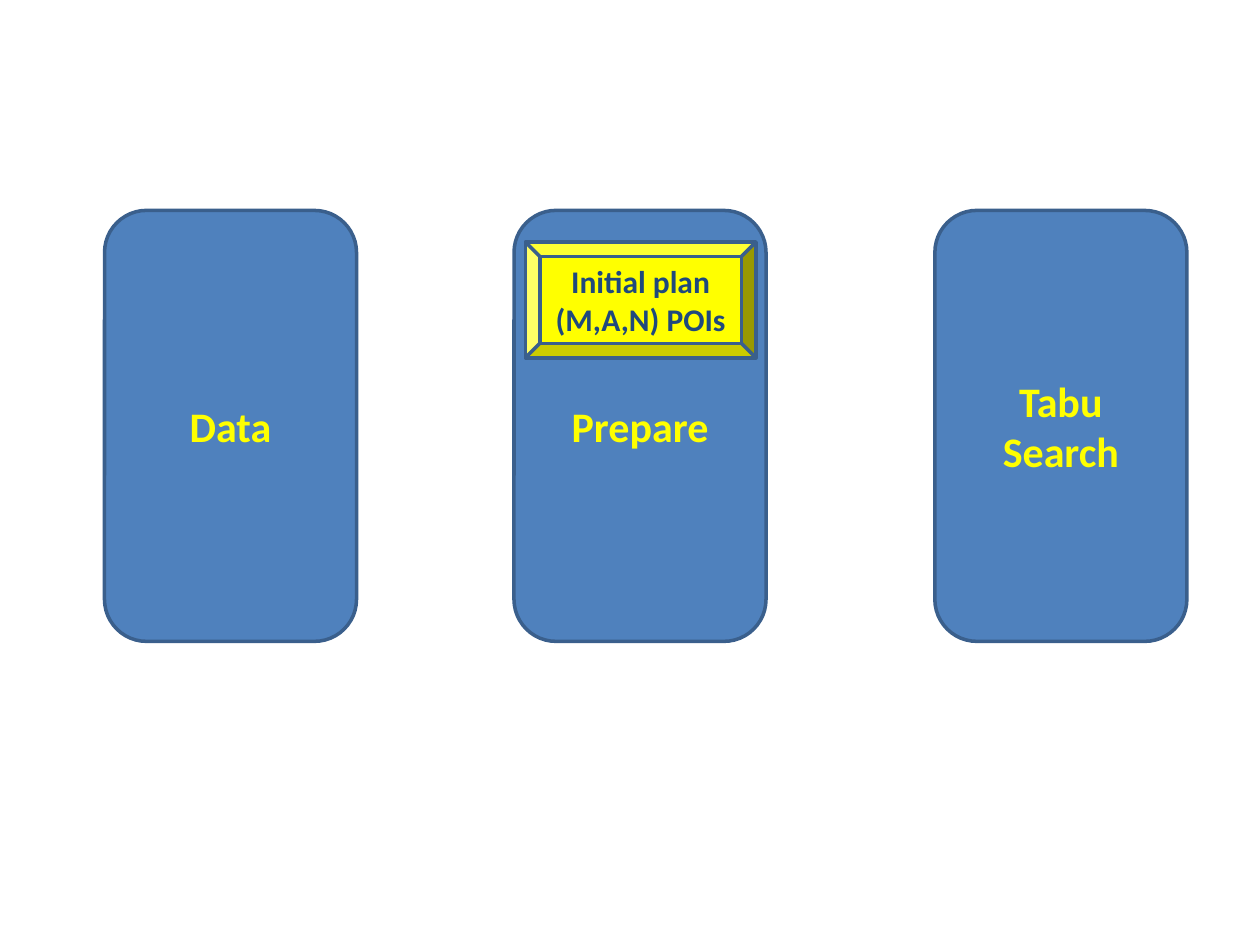
"""Build a slide with three process stages and a plan plaque."""
from pptx import Presentation
from pptx.dml.color import RGBColor
from pptx.enum.shapes import MSO_SHAPE
from pptx.enum.text import MSO_ANCHOR, PP_ALIGN
from pptx.util import Inches, Pt

STAGES = [(0.83, "Data"), (4.08, "Prepare"), (7.42, "Tabu Search")]


def color(hex_string):
    """Return the colour for a hex string."""
    return RGBColor.from_string(hex_string)


def add_box(slide, kind, position, text, fill, font_color, size):
    """Add an outlined shape with bold centred text."""
    shape = slide.shapes.add_shape(kind, *[Inches(value) for value in position])
    shape.shadow.inherit = False
    shape.fill.solid()
    shape.fill.fore_color.rgb = color(fill)
    shape.line.color.rgb = color("3A5F8C")
    shape.line.width = Pt(2)
    text_frame = shape.text_frame
    text_frame.word_wrap = True
    text_frame.vertical_anchor = MSO_ANCHOR.MIDDLE
    text_frame.text = text
    for paragraph in text_frame.paragraphs:
        paragraph.alignment = PP_ALIGN.CENTER
        for run in paragraph.runs:
            run.font.name = "Calibri"
            run.font.size = Pt(size)
            run.font.bold = True
            run.font.color.rgb = color(font_color)


def main():
    """Build and save the presentation."""
    presentation = Presentation()
    presentation.slide_width = Inches(10)
    presentation.slide_height = Inches(7.5)
    slide = presentation.slides.add_slide(presentation.slide_layouts[6])
    for left, label in STAGES:
        add_box(slide, MSO_SHAPE.ROUNDED_RECTANGLE, (left, 1.67, 2, 3.42),
                label, "4F81BD", "FFFF00", 24)
    add_box(slide, MSO_SHAPE.BEVEL, (4.17, 1.92, 1.83, 0.92),
            "Initial plan\n(M,A,N) POIs", "FFFF00", "1F497D", 18)
    presentation.save("out.pptx")


main()
